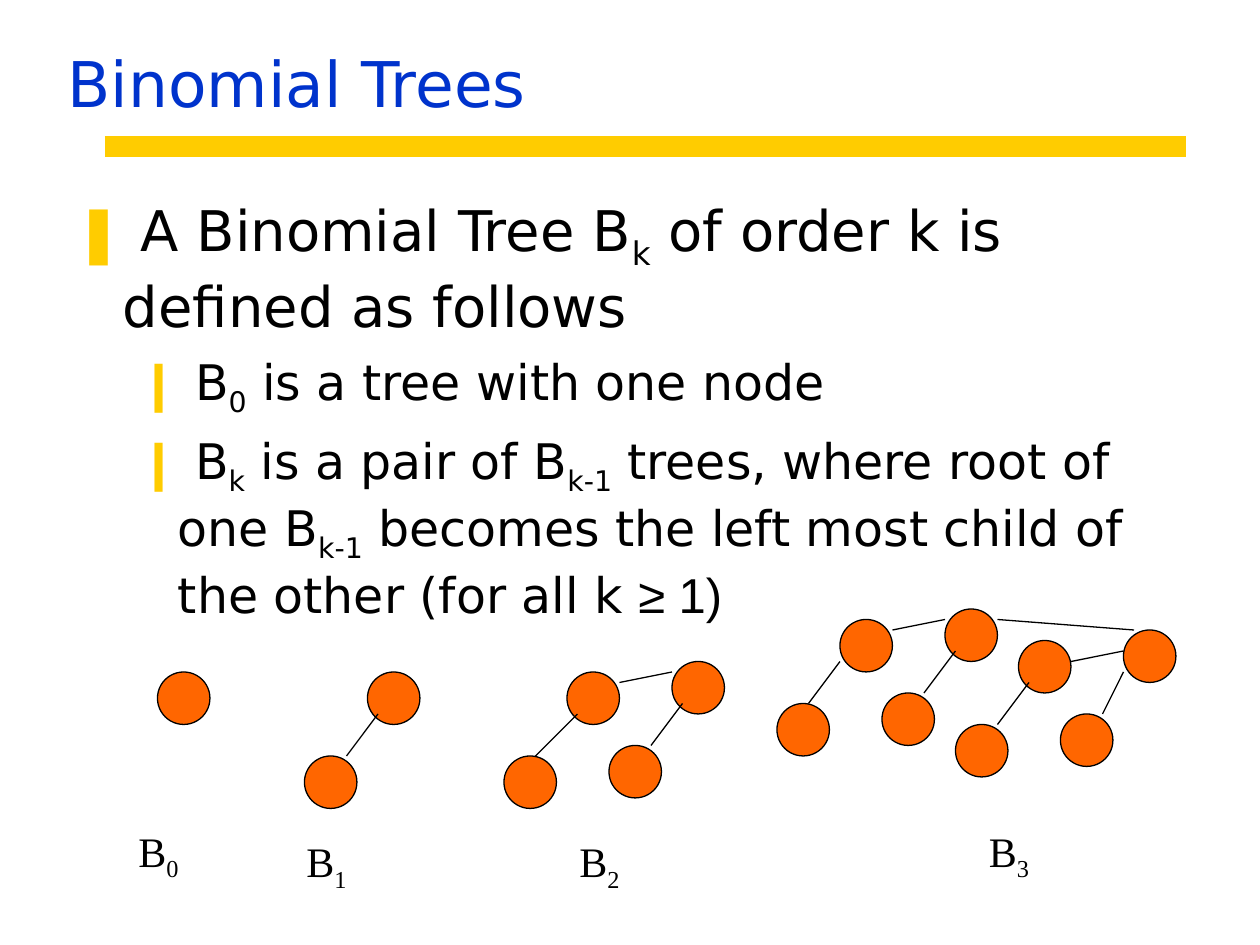
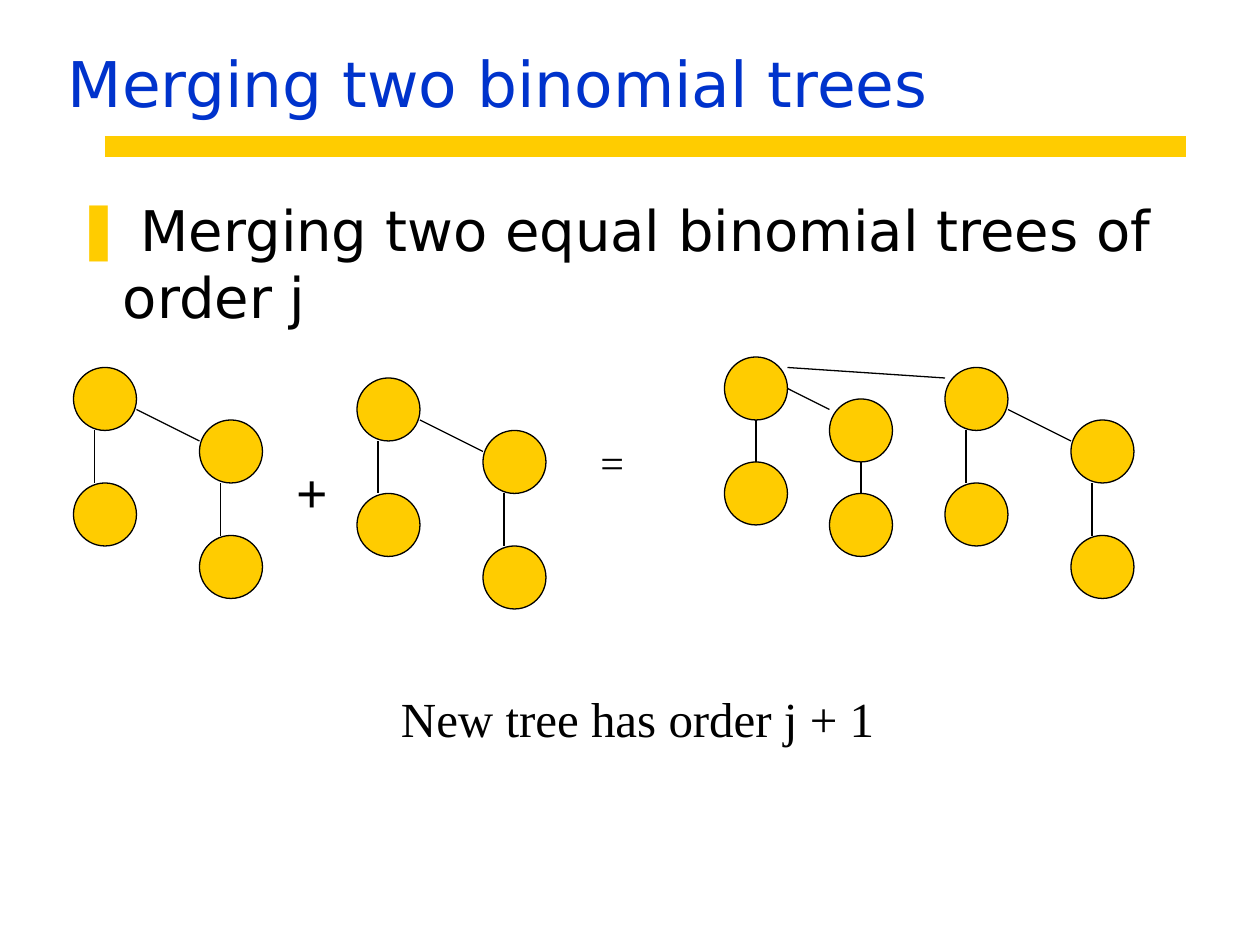
from dataclasses import dataclass

from lxml import etree
from pptx import Presentation
from pptx import util as u
from pptx.dml.color import RGBColor
from pptx.enum import shapes, text
from pptx.oxml.ns import qn

PX = 9525  # EMU in one px, 96 px to the inch


@dataclass(frozen=True)
class Theme:
    blue: str = "0033CC"
    gold: str = "FFCC00"
    orange: str = "FF6600"
    black: str = "000000"
    sans: str = "DejaVu Sans"
    serif: str = "Times New Roman"
    symbol: str = "Arial"
    title_size: int = 36
    body_sizes: tuple = (32, 28)
    label_size: int = 24
    note_size: int = 28
    sign_size: int = 32
    outline: float = 0.75
    rule: int = 12


@dataclass(frozen=True)
class Span:
    words: str
    lowered: bool = False
    font: str = ""


@dataclass(frozen=True)
class Level:
    bullet: str
    margin: int
    hang: int
    before: int


THEME = Theme()
LEVELS = (Level("❚", 36, 36, 8), Level("❙", 78, 30, 7))
TITLE_BOX = (42, 24, 816, 72)
BODY_BOX = (48, 144, 858, 528)
RULE = (80, 112, 904, 112)


def px(*lengths):
    return [u.Emu(length * PX) for length in lengths]


def sub(words):
    return Span(words, lowered=True)


# Text
def format_font(font, name, size, color, bold=False):
    font.name, font.size, font.bold = name, u.Pt(size), bold
    font.color.rgb = RGBColor.from_string(color)


def fill_paragraph(para, spans, name, size, before, bold=False):
    para.space_before = u.Pt(before)
    for span in spans:
        span = Span(span) if isinstance(span, str) else span
        run = para.add_run()
        run.text = span.words
        format_font(run.font, span.font or name, size, THEME.black, bold)
        if span.lowered:
            run.font._element.set("baseline", "-25000")


def set_bullet(para, level):
    props = para._p.get_or_add_pPr()
    margin, hang = px(level.margin, -level.hang)
    props.set("marL", str(margin))
    props.set("indent", str(hang))
    color = etree.SubElement(props, qn("a:buClr"))
    etree.SubElement(color, qn("a:srgbClr"), val=THEME.gold)
    etree.SubElement(props, qn("a:buFont"), typeface=THEME.sans)
    etree.SubElement(props, qn("a:buChar"), char=level.bullet)


def add_label(page, box, spans, size, before, bold=False):
    frame = page.shapes.add_textbox(*px(*box)).text_frame
    frame.word_wrap = True
    frame.auto_size = text.MSO_AUTO_SIZE.SHAPE_TO_FIT_TEXT
    fill_paragraph(frame.paragraphs[0], spans, THEME.serif, size, before, bold)


# Lines and trees
def add_line(page, ends, color=THEME.black, width=THEME.outline):
    line = page.shapes.add_connector(shapes.MSO_CONNECTOR.STRAIGHT, *px(*ends))
    line.line.color.rgb = RGBColor.from_string(color)
    line.line.width = u.Pt(width)
    etree.SubElement(line._element.spPr, qn("a:effectLst"))
    return line


def add_tree(page, corner, nodes, edges, size, color):
    """Draw nodes and edges, both measured from the tree's corner."""
    left, top = corner
    for x, y in nodes:
        node = page.shapes.add_shape(
            shapes.MSO_SHAPE.OVAL, *px(left + x, top + y, size, size))
        node.shadow.inherit = False
        node.fill.solid()
        node.fill.fore_color.rgb = RGBColor.from_string(color)
        node.line.color.rgb = RGBColor.from_string(THEME.black)
        node.line.width = u.Pt(THEME.outline)
    for x1, y1, x2, y2 in edges:
        add_line(page, (left + x1, top + y1, left + x2, top + y2))


def add_paired_tree(page, corner, pairs, links):
    """Each pair is a parent's place and the x shifts of its edge's ends."""
    nodes, edges = [], list(links)
    for x, y, start, end in pairs:
        nodes += [(x, y), (x - 48, y + 64)]
        edges.append((x + start, y + 32, x + end, y + 64))
    add_tree(page, corner, nodes, edges, 40, THEME.orange)


# Parts shared by the slides
def add_layout_rule(page):
    rule = add_line(page, RULE, THEME.gold, THEME.rule)
    page.slide_layout.shapes.element.append(rule._element)


def place(holder, box):
    holder.left, holder.top, holder.width, holder.height = px(*box)
    frame = holder.text_frame
    frame.word_wrap = True
    frame.auto_size = text.MSO_AUTO_SIZE.NONE
    return frame


def add_page(deck, title, items):
    page = deck.slides.add_slide(deck.slide_layouts[1])
    frame = place(page.shapes.title, TITLE_BOX)
    frame.vertical_anchor = text.MSO_ANCHOR.BOTTOM
    frame.text = title
    para = frame.paragraphs[0]
    para.alignment = text.PP_ALIGN.LEFT
    format_font(para.runs[0].font, THEME.sans, THEME.title_size, THEME.blue)

    frame = place(page.placeholders[1], BODY_BOX)
    frame.vertical_anchor = text.MSO_ANCHOR.TOP
    for index, (depth, spans) in enumerate(items):
        para = frame.add_paragraph() if index else frame.paragraphs[0]
        para.level = depth
        fill_paragraph(para, spans, THEME.sans, THEME.body_sizes[depth],
                       LEVELS[depth].before)
        set_bullet(para, LEVELS[depth])
    return page


# Slide 1: the definition and the first four trees
def add_definition(deck):
    page = add_page(deck, "Binomial Trees", [
        (0, [" A Binomial Tree B", sub("k"), " of order k is defined as follows"]),
        (1, [" B", sub("0"), " is a tree with one node"]),
        (1, [" B", sub("k"), " is a pair of B", sub("k-1"),
             " trees, where root of one B", sub("k-1"),
             " becomes the left most child of the other (for all k ",
             Span("≥ 1)", font=THEME.symbol)]),
    ])
    add_tree(page, (120, 512), [(0, 0)], [], 40, THEME.orange)
    add_paired_tree(page, (232, 512), [(48, 0, 8, -16)], [])
    add_paired_tree(page, (384, 504),
                    [(48, 8, 8, -24), (128, 0, 8, -16)],
                    [(128, 8, 88, 16)])
    add_paired_tree(page, (592, 464),
                    [(48, 8, 0, -24), (128, 0, 8, -16),
                     (184, 24, 8, -16), (264, 16, 0, -16)],
                    [(128, 8, 88, 16), (264, 32, 224, 40), (272, 16, 168, 8)])
    label_places = [(96, 624), (224, 632), (432, 632), (744, 624)]
    for order, (left, top) in enumerate(label_places):
        add_label(page, (left, top, 88, 54), ["B", sub(str(order))],
                  THEME.label_size, 15)
    return page


# Slide 2: two equal trees and their sum
def add_merging(deck):
    page = add_page(deck, "Merging two binomial trees", [
        (0, [" Merging two equal binomial trees of order j"]),
    ])
    wide_nodes = [(0, 0), (0, 88), (96, 40), (96, 128)]
    wide_edges = [(16, 48, 16, 88), (112, 88, 112, 128), (48, 32, 96, 56)]
    for corner in [(56, 280), (272, 288), (720, 280)]:
        add_tree(page, corner, wide_nodes, wide_edges, 48, THEME.gold)

    # The narrow tree's last edge joins it to the wide tree on its right
    narrow_nodes = [(0, 0), (0, 80), (80, 32), (80, 104)]
    narrow_edges = [(24, 48, 24, 80), (104, 80, 104, 104),
                    (48, 24, 80, 40), (48, 8, 168, 16)]
    add_tree(page, (552, 272), narrow_nodes, narrow_edges, 48, THEME.gold)

    add_label(page, (216, 344, 48, 61), ["+"], THEME.sign_size, 20, bold=True)
    add_label(page, (448, 328, 64, 48), ["="], THEME.label_size, 15)
    add_label(page, (296, 520, 608, 55), ["New tree has order j + 1"],
              THEME.note_size, 17.5)


def main():
    deck = Presentation()
    deck.slide_width, deck.slide_height = px(960, 720)
    add_layout_rule(add_definition(deck))
    add_merging(deck)
    deck.save("out.pptx")


if __name__ == "__main__":
    main()
